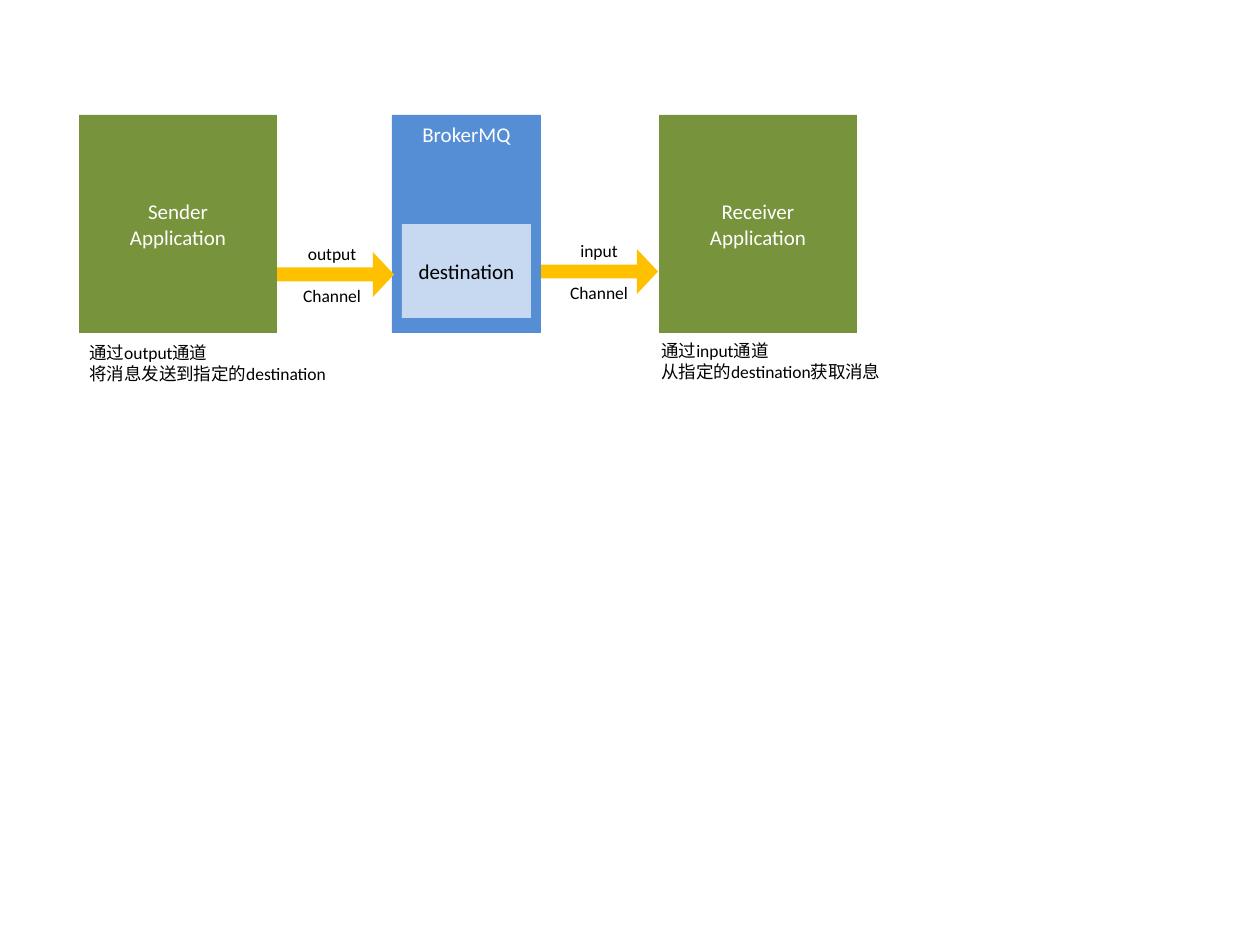
"""Build a slide showing a message going from a sender through a broker to a receiver."""
from pptx import Presentation
from pptx.dml.color import RGBColor
from pptx.enum.shapes import MSO_SHAPE
from pptx.enum.text import MSO_ANCHOR, MSO_AUTO_SIZE, PP_ALIGN
from pptx.util import Pt

RECTANGLE, RIGHT_ARROW = MSO_SHAPE.RECTANGLE, MSO_SHAPE.RIGHT_ARROW
TOP, MIDDLE = MSO_ANCHOR.TOP, MSO_ANCHOR.MIDDLE
LEFT, CENTER = PP_ALIGN.LEFT, PP_ALIGN.CENTER
FIT_SHAPE = MSO_AUTO_SIZE.SHAPE_TO_FIT_TEXT

PIXEL = 914400 / 126
GREEN, BLUE, PALE_BLUE, AMBER = "77933C", "558ED5", "C6D9F1", "FFC000"
WHITE, BLACK = "FFFFFF", "000000"

BOXES = [
    (["Sender", "Application"], (79, 115, 198, 218), GREEN, WHITE, MIDDLE),
    (["Receiver", "Application"], (659, 115, 198, 218), GREEN, WHITE, MIDDLE),
    (["BrokerMQ"], (392, 115, 149, 218), BLUE, WHITE, TOP),
    (["destination"], (402, 224, 129, 94), PALE_BLUE, BLACK, MIDDLE),
]
CHANNEL_LABELS = [
    (["output", "Channel"], (290, 237, 84, 77)),
    (["input", "Channel"], (557, 234, 84, 77)),
]
CAPTIONS = [
    (["通过output通道", "将消息发送到指定的destination"], (77, 336, 266, 55)),
    (["通过input通道", "从指定的destination获取消息"], (649, 334, 248, 55)),
]
ARROWS = [(277, 252, 117, 45), (541, 249, 117, 45)]
ARROW_ADJUSTMENTS = (0.31, 0.47)


def emu(*pixels):
    return [round(value * PIXEL) for value in pixels]


def color(value):
    return RGBColor.from_string(value)


def add_text(shape, lines, size=10, font_color=BLACK, align=LEFT, anchor=TOP, gap=0):
    frame = shape.text_frame
    frame.vertical_anchor = anchor
    for index, line in enumerate(lines):
        paragraph = frame.add_paragraph() if index else frame.paragraphs[0]
        paragraph.alignment = align
        paragraph.space_before = Pt(gap if index else 0)
        run = paragraph.add_run()
        run.text = line
        run.font.name = "Calibri"
        run.font.size = Pt(size)
        run.font.color.rgb = color(font_color)


def add_filled_shape(slide, kind, place, fill):
    shape = slide.shapes.add_shape(kind, *emu(*place))
    shape.shadow.inherit = False
    shape.fill.solid()
    shape.fill.fore_color.rgb = color(fill)
    shape.line.fill.background()
    return shape


def add_text_box(slide, lines, place, **text_format):
    box = slide.shapes.add_textbox(*emu(*place))
    box.text_frame.word_wrap = False
    box.text_frame.auto_size = FIT_SHAPE
    add_text(box, lines, **text_format)


presentation = Presentation()
presentation.slide_width, presentation.slide_height = emu(1260, 945)
slide = presentation.slides.add_slide(presentation.slide_layouts[6])

for lines, place, fill, font_color, anchor in BOXES:
    box = add_filled_shape(slide, RECTANGLE, place, fill)
    add_text(box, lines, size=12, font_color=font_color, align=CENTER, anchor=anchor)

for lines, place in CHANNEL_LABELS:
    add_text_box(slide, lines, place, align=CENTER, gap=12)

for lines, place in CAPTIONS:
    add_text_box(slide, lines, place)

for place in ARROWS:
    arrow = add_filled_shape(slide, RIGHT_ARROW, place, AMBER)
    for index, value in enumerate(ARROW_ADJUSTMENTS):
        arrow.adjustments[index] = value

presentation.save("out.pptx")
